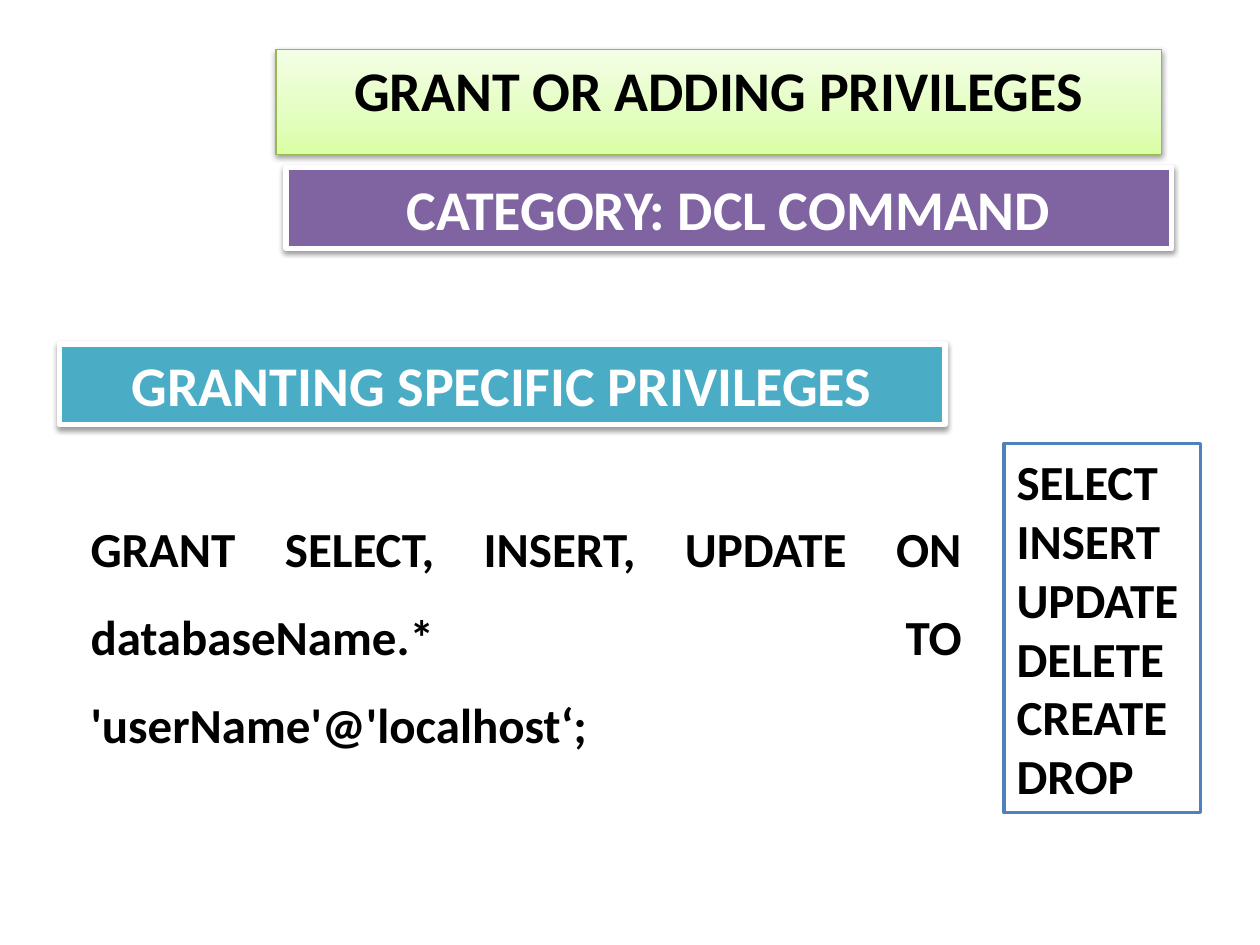
from lxml.etree import SubElement
from pptx import Presentation
from pptx.dml.color import RGBColor
from pptx.enum.shapes import MSO_SHAPE
from pptx.enum.text import MSO_ANCHOR, MSO_AUTO_SIZE, PP_ALIGN
from pptx.oxml.ns import qn
from pptx.util import Inches, Pt

TITLE = "GRANT OR ADDING PRIVILEGES"
TITLE_GRADIENT = [(0, "DAFEA4"), (35, "E3FEBF"), (100, "F4FEE6")]
BANNERS = [  # text, left, top, fill
    ("CATEGORY: DCL COMMAND", 2.27, 1.33, "8064A2"),
    ("GRANTING SPECIFIC PRIVILEGES", 0.47, 2.73, "4BACC6"),
]
BANNER_SIZE = (7.03, 0.64)
STATEMENT = "GRANT SELECT, INSERT, UPDATE ON databaseName.* TO 'userName'@'localhost‘;"
PRIVILEGES = ["SELECT", "INSERT", "UPDATE", "DELETE", "CREATE", "DROP"]


def rgb(color):
    return RGBColor.from_string(color)


def place(sp, left, top, width, height):
    sp.left, sp.top, sp.width, sp.height = map(Inches, (left, top, width, height))


def write(sp, text, size, color, align, spacing=None):
    tf = sp.text_frame
    tf.text = text
    tf.word_wrap = True
    tf.auto_size = MSO_AUTO_SIZE.SHAPE_TO_FIT_TEXT
    for p in tf.paragraphs:
        p.alignment = align
        if spacing:
            p.line_spacing = spacing
        for r in p.runs:
            r.font.name, r.font.size, r.font.bold = "Calibri", Pt(size), True
            r.font.color.rgb = rgb(color)


def outline(sp, color, width):
    sp.line.color.rgb = rgb(color)
    sp.line.width = Pt(width)


def add_color(parent, color):
    return SubElement(parent, qn("a:srgbClr"), val=color)


def fill_gradient(sp, stops):
    """Fill from bottom to top with (percent, colour) stops."""
    sp.fill.gradient()
    sp.fill.gradient_angle = 90
    stop_list = sp.element.spPr.find(".//" + qn("a:gsLst"))
    for stop in list(stop_list):
        stop_list.remove(stop)
    for percent, color in stops:
        add_color(SubElement(stop_list, qn("a:gs"), pos=str(percent * 1000)), color)


def drop_shadow(sp):
    sp.shadow.inherit = False
    effects = sp.element.spPr.find(qn("a:effectLst"))
    shadow = SubElement(effects, qn("a:outerShdw"), blurRad=str(Pt(3.1)),
                        dist=str(Pt(1.6)), dir="5400000", rotWithShape="0")
    SubElement(add_color(shadow, "000000"), qn("a:alpha"), val="38000")


def add_rectangle(slide, left, top, width, height, fill):
    sp = slide.shapes.add_shape(MSO_SHAPE.RECTANGLE, 0, 0, 0, 0)
    place(sp, left, top, width, height)
    sp.shadow.inherit = False
    sp.fill.solid()
    sp.fill.fore_color.rgb = rgb(fill)
    return sp


def main():
    prs = Presentation()
    prs.slide_width, prs.slide_height = Inches(10), Inches(7.5)
    slide = prs.slides.add_slide(prs.slide_layouts[5])

    title = slide.shapes.title
    place(title, 2.19, 0.39, *BANNER_SIZE)
    fill_gradient(title, TITLE_GRADIENT)
    outline(title, "97B853", 0.75)
    drop_shadow(title)
    write(title, TITLE, 32, "000000", PP_ALIGN.CENTER)
    title.text_frame.vertical_anchor = MSO_ANCHOR.TOP

    for text, left, top, fill in BANNERS:
        banner = add_rectangle(slide, left, top, *BANNER_SIZE, fill)
        outline(banner, "FFFFFF", 3)
        drop_shadow(banner)
        write(banner, text, 32, "FFFFFF", PP_ALIGN.CENTER)

    statement = slide.shapes.add_textbox(0, 0, 0, 0)
    place(statement, 0.62, 3.83, 7.11, 1.51)
    write(statement, STATEMENT, 28, "000000", PP_ALIGN.JUSTIFY, spacing=1.5)

    privileges = add_rectangle(slide, 7.97, 3.52, 1.56, 2.93, "FFFFFF")
    outline(privileges, "4F81BD", 2)
    write(privileges, "\n".join(PRIVILEGES), 28, "000000", PP_ALIGN.LEFT)

    prs.save("out.pptx")


if __name__ == "__main__":
    main()
